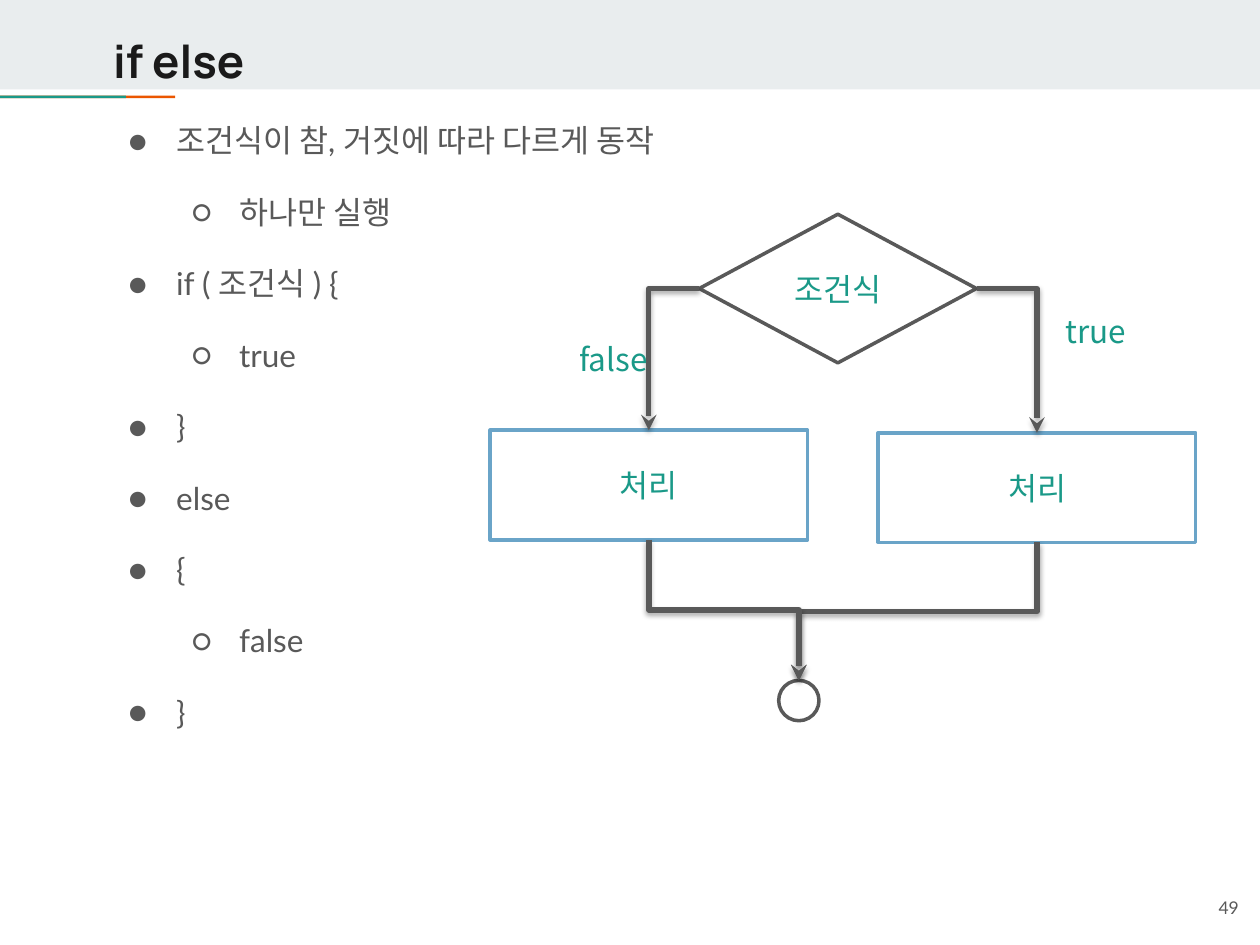
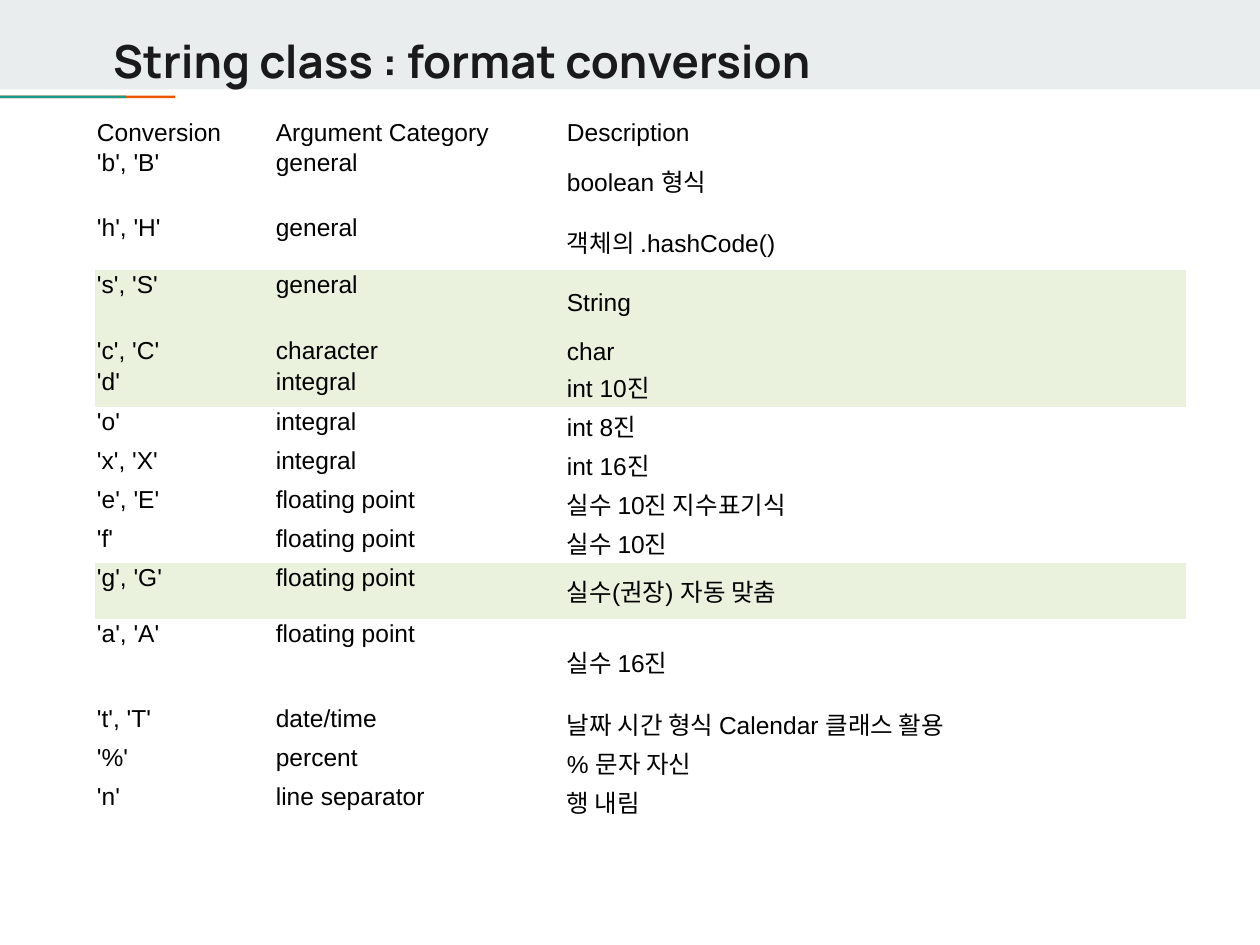
"""Build two lecture slides: an if-else flow chart and a table of format conversions."""
from lxml import etree
from pptx import Presentation
from pptx.dml.color import RGBColor
from pptx.enum.shapes import MSO_CONNECTOR, MSO_SHAPE
from pptx.enum.text import MSO_ANCHOR, PP_ALIGN
from pptx.oxml import parse_xml
from pptx.oxml.ns import nsdecls, qn
from pptx.util import Inches, Pt

RECT, DIAMOND, OVAL = MSO_SHAPE.RECTANGLE, MSO_SHAPE.DIAMOND, MSO_SHAPE.OVAL
ELBOW = MSO_CONNECTOR.ELBOW
TOP, MIDDLE, BOTTOM = MSO_ANCHOR.TOP, MSO_ANCHOR.MIDDLE, MSO_ANCHOR.BOTTOM
LEFT, CENTER, RIGHT = PP_ALIGN.LEFT, PP_ALIGN.CENTER, PP_ALIGN.RIGHT

WIDTH, HEIGHT = 10, 7.5
COLORS = {"band": "E9EDEE", "orange": "EB5600", "green": "1A9988", "title": "1A1A1A",
          "gray": "595959", "blue": "6AA4C8", "white": "FFFFFF", "black": "000000",
          "highlight": "EAF1DD"}
TITLE_FONT, BODY_FONT, KOREAN_FONT, TABLE_FONT = "Manrope", "Lato", "Noto Sans CJK KR", "Arial"
NO_STYLE = "{2D5ABB26-0587-4C30-8999-92F81FD0307C}"

IF_ELSE_TITLE = "if else"
IF_ELSE_PAGE = "49"
IF_ELSE_LINES = [
    (0, "조건식이 참, 거짓에 따라 다르게 동작"),
    (1, "하나만 실행"),
    (0, "if ( 조건식 ) {"),
    (1, "true"),
    (0, "}"),
    (0, "else"),
    (0, "{"),
    (1, "false"),
    (0, "}"),
]
BULLETS = "●○"

CONDITION = {"text": "조건식", "center": (6.65, 2.29), "size": (2.2, 1.18)}
STEP_SIZE = (2.52, 0.87)
BRANCHES = [
    {"text": "처리", "center": (8.23, 3.87), "side": 1, "label": "true", "label_at": (8.36, 2.43)},
    {"text": "처리", "center": (5.15, 3.85), "side": -1, "label": "false", "label_at": (4.5, 2.65)},
]
JOIN = {"center": (6.34, 5.56), "size": (0.32, 0.32)}

FORMAT_TITLE = "String class : format conversion"
FORMAT_COLUMNS = [1.42, 2.31, 4.93]
LATIN_ROW, KOREAN_ROW = 0.25, 0.31
FORMATS = [
    (LATIN_ROW, "Conversion", "Argument Category", "Description"),
    (0.52, "'b', 'B'", "general", "boolean 형식"),
    (0.45, "'h', 'H'", "general", "객체의 .hashCode()"),
    (0.52, "'s', 'S'", "general", "String"),
    (LATIN_ROW, "'c', 'C'", "character", "char"),
    (KOREAN_ROW, "'d'", "integral", "int 10진"),
    (KOREAN_ROW, "'o'", "integral", "int 8진"),
    (KOREAN_ROW, "'x', 'X'", "integral", "int 16진"),
    (KOREAN_ROW, "'e', 'E'", "floating point", "실수 10진 지수표기식"),
    (KOREAN_ROW, "'f'", "floating point", "실수 10진"),
    (0.45, "'g', 'G'", "floating point", "실수(권장) 자동 맞춤"),
    (0.67, "'a', 'A'", "floating point", "실수 16진"),
    (KOREAN_ROW, "'t', 'T'", "date/time", "날짜 시간 형식 Calendar 클래스 활용"),
    (KOREAN_ROW, "'%'", "percent", "% 문자 자신"),
    (KOREAN_ROW, "'n'", "line separator", "행 내림"),
]
HIGHLIGHTED = {"'s', 'S'", "'c', 'C'", "'d'", "'g', 'G'"}


def rgb(name):
    return RGBColor.from_string(COLORS[name])


def inches(*lengths):
    return [Inches(length) for length in lengths]


def style(paragraph, size, font, color, align=LEFT, bold=False):
    paragraph.alignment = align
    paragraph.font.size = Pt(size)
    paragraph.font.name = font
    paragraph.font.bold = bold
    paragraph.font.color.rgb = rgb(color)
    defaults = paragraph._p.pPr.find(qn("a:defRPr"))
    east_asian = etree.SubElement(defaults, qn("a:ea"))
    east_asian.set("typeface", KOREAN_FONT)


def add_text(slide, box, text, size, font, color, anchor=TOP, align=LEFT, bold=False):
    frame = slide.shapes.add_textbox(*inches(*box)).text_frame
    frame.word_wrap = True
    frame.vertical_anchor = anchor
    frame.text = text
    style(frame.paragraphs[0], size, font, color, align, bold)


def add_block(slide, kind, box, fill, line=None, text=""):
    block = slide.shapes.add_shape(kind, *inches(*box))
    block.shadow.inherit = False
    block.fill.solid()
    block.fill.fore_color.rgb = rgb(fill)
    if line:
        block.line.color.rgb = rgb(line)
        block.line.width = Pt(2)
    else:
        block.line.fill.background()
    if text:
        frame = block.text_frame
        frame.vertical_anchor = MIDDLE
        frame.text = text
        style(frame.paragraphs[0], 18, KOREAN_FONT, "green", CENTER)


def centered(center, size):
    (x, y), (width, height) = center, size
    return x - width / 2, y - height / 2, width, height


def add_arrow(slide, begin, end):
    arrow = slide.shapes.add_connector(ELBOW, *inches(*begin, *end))
    arrow.line.color.rgb = rgb("gray")
    arrow.line.width = Pt(3)
    properties = arrow._element.spPr
    etree.SubElement(properties.find(qn("a:ln")), qn("a:tailEnd")).set("type", "stealth")
    properties.append(parse_xml(
        f'<a:effectLst {nsdecls("a")}><a:outerShdw blurRad="{Pt(3.1)}" dist="{Pt(1.8)}" '
        f'dir="5400000" rotWithShape="0"><a:srgbClr val="{COLORS["black"]}">'
        '<a:alpha val="35000"/></a:srgbClr></a:outerShdw></a:effectLst>'))
    return properties


def add_corner_arrow(slide, begin, end):
    properties = add_arrow(slide, begin, end)
    properties.find(qn("a:prstGeom")).set("prst", "bentConnector2")


def add_down_arrow(slide, begin, end):
    (x1, y1), (x2, y2) = begin, end
    side = 1 if x1 > x2 else -1
    x, y = (x1 + x2) / 2, (y1 + y2) / 2
    along, across = side * (y2 - y1) / 2, abs(x2 - x1) / 2
    properties = add_arrow(slide, (x - along, y - across), (x + along, y + across))
    properties.find(qn("a:xfrm")).set("rot", str(side * 90 % 360 * 60000))


def add_page(deck, title):
    slide = deck.slides.add_slide(deck.slide_layouts[6])
    add_block(slide, RECT, (0, 0, WIDTH, 0.71), "band")
    for color, length in (("orange", 1.39), ("green", 1)):
        add_block(slide, RECT, (0, 0.76, length, 0.02), color)
    add_text(slide, (0.8, 0.09, 8.41, 0.78), title, 26, TITLE_FONT, "title", MIDDLE, bold=True)
    return slide


def add_bullets(slide, box, lines):
    frame = slide.shapes.add_textbox(*inches(*box)).text_frame
    frame.word_wrap = True
    for index, (level, text) in enumerate(lines):
        paragraph = frame.add_paragraph() if index else frame.paragraphs[0]
        paragraph.text = text
        paragraph.level = level
        paragraph.line_spacing = 1.15
        paragraph.space_before = Pt(16 if index else 0)
        properties = paragraph._p.get_or_add_pPr()
        properties.set("marL", str(Inches(0.5 * (level + 1))))
        properties.set("indent", str(Inches(-0.38)))
        color = etree.SubElement(properties, qn("a:buClr"))
        etree.SubElement(color, qn("a:srgbClr")).set("val", COLORS["gray"])
        etree.SubElement(properties, qn("a:buFont")).set("typeface", BODY_FONT)
        etree.SubElement(properties, qn("a:buChar")).set("char", BULLETS[level])
        style(paragraph, 18, BODY_FONT, "gray")


def add_flow(slide):
    x, y = CONDITION["center"]
    add_block(slide, DIAMOND, centered((x, y), CONDITION["size"]), "white", "gray",
              CONDITION["text"])
    add_block(slide, OVAL, centered(JOIN["center"], JOIN["size"]), "white", "gray")
    join_top = JOIN["center"][0], JOIN["center"][1] - JOIN["size"][1] / 2
    for branch in BRANCHES:
        step_x, step_y = branch["center"]
        half = STEP_SIZE[1] / 2
        corner = x + branch["side"] * CONDITION["size"][0] / 2
        add_block(slide, RECT, centered(branch["center"], STEP_SIZE), "white", "blue",
                  branch["text"])
        add_corner_arrow(slide, (corner, y), (step_x, step_y - half))
        add_down_arrow(slide, (step_x, step_y + half), join_top)
        add_text(slide, (*branch["label_at"], 0.81, 0.4), branch["label"], 18,
                 KOREAN_FONT, "green")


def add_formats(slide):
    heights = [row[0] for row in FORMATS]
    table = slide.shapes.add_table(
        len(FORMATS), len(FORMAT_COLUMNS),
        *inches(0.75, 0.92, sum(FORMAT_COLUMNS), sum(heights))).table
    table.first_row = table.horz_banding = False
    table._tbl.tblPr.find(qn("a:tableStyleId")).text = NO_STYLE
    for column, width in zip(table.columns, FORMAT_COLUMNS):
        column.width = Inches(width)
    for index, (height, *texts) in enumerate(FORMATS):
        table.rows[index].height = Inches(height)
        anchors = (TOP, TOP, MIDDLE) if index else (BOTTOM,) * 3
        for cell, text, anchor in zip(table.rows[index].cells, texts, anchors):
            cell.text = text
            cell.vertical_anchor = anchor
            cell.margin_left = cell.margin_right = Inches(0.02)
            cell.margin_top = cell.margin_bottom = Inches(0.01)
            style(cell.text_frame.paragraphs[0], 14, TABLE_FONT, "black")
            if texts[0] in HIGHLIGHTED:
                cell.fill.solid()
                cell.fill.fore_color.rgb = rgb("highlight")
            else:
                cell.fill.background()


def main():
    deck = Presentation()
    deck.slide_width, deck.slide_height = inches(WIDTH, HEIGHT)

    if_else = add_page(deck, IF_ELSE_TITLE)
    add_bullets(if_else, (0.8, 0.87, 8.41, 5.46), IF_ELSE_LINES)
    add_text(if_else, (9.33, 6.92, 0.6, 0.57), IF_ELSE_PAGE, 10, BODY_FONT, "gray", MIDDLE, RIGHT)
    add_flow(if_else)

    add_formats(add_page(deck, FORMAT_TITLE))
    deck.save("out.pptx")


if __name__ == "__main__":
    main()
